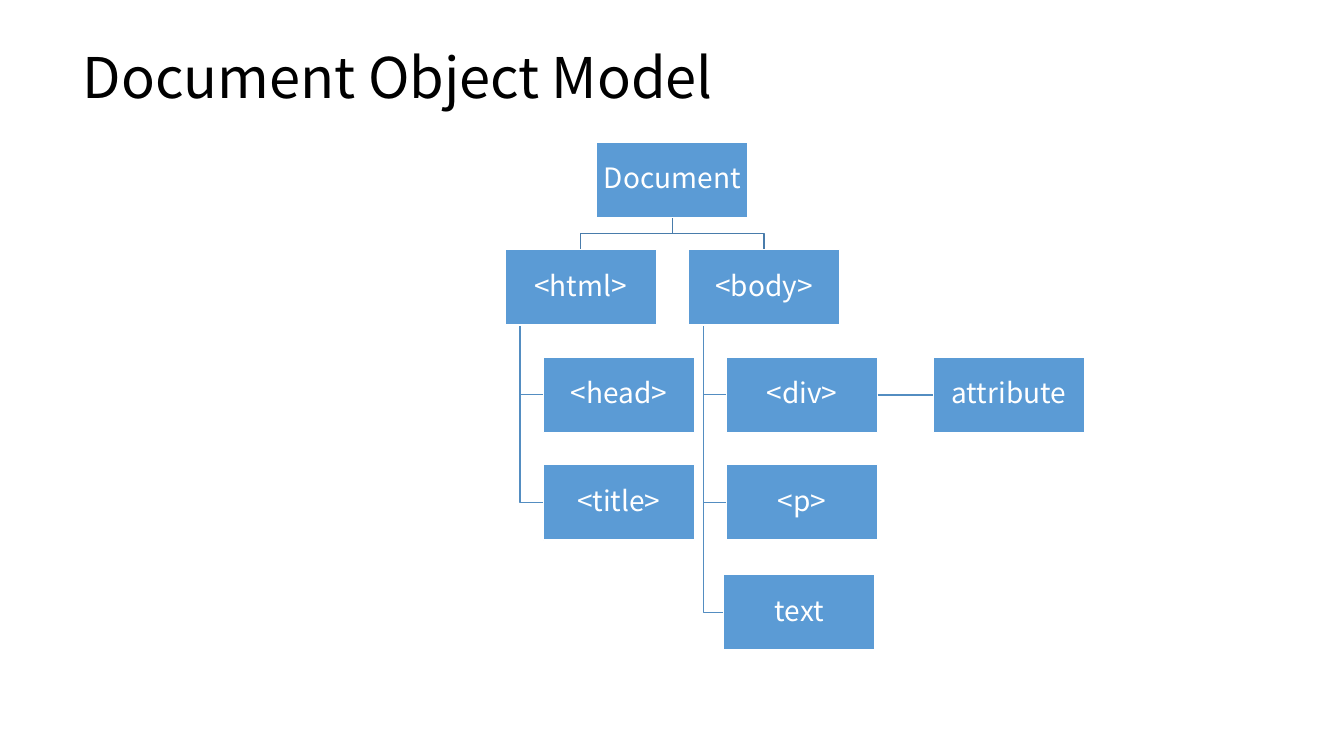
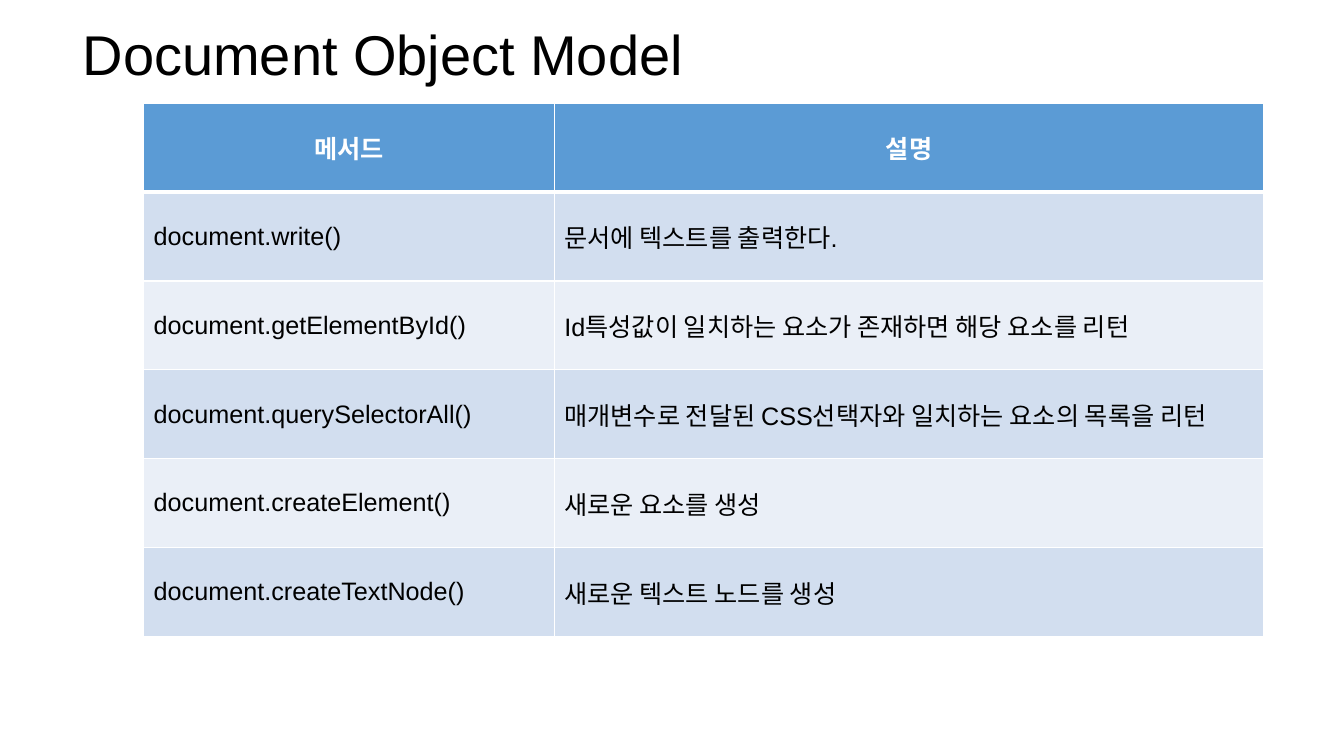
import pptx
import pptx.util
import pptx.dml.color
import pptx.enum.shapes
import pptx.enum.text
import pptx.oxml.ns
import lxml.etree

Cm, Pt = pptx.util.Cm, pptx.util.Pt
ALIGN = pptx.enum.text.PP_ALIGN
ANCHOR = pptx.enum.text.MSO_ANCHOR
qn = pptx.oxml.ns.qn

# Shared style
LATIN, KOREAN = "Arial", "Noto Sans CJK KR"
BLUE, WHITE, BLACK = "5B9BD5", "FFFFFF", "000000"
ROOT_LINE, BRANCH_LINE = "497CAB", "538DC1"
BANDS = ("D2DEEF", "EAEFF7")

# Tree: box size, and the left and top of each box within the tree (cm)
BOX_W, BOX_H = 3.81, 1.9
ROW = 2.71
INDENT, STEM = 0.96, 0.38
BODY = 4.62
BOXES = {
    "Document": (BODY / 2, 0),
    "<html>": (0, ROW),
    "<head>": (INDENT, 2 * ROW),
    "<title>": (INDENT, 3 * ROW),
    "<body>": (BODY, ROW),
    "<div>": (BODY + INDENT, 2 * ROW),
    "<p>": (BODY + INDENT, 3 * ROW),
    "attribute": (10.79, 2 * ROW),
    "text": (5.51, 10.9),
}
BRANCHES = {"<html>": ("<head>", "<title>"), "<body>": ("<div>", "<p>", "text")}

METHODS = [
    ("메서드", "설명"),
    ("document.write()", "문서에 텍스트를 출력한다."),
    ("document.getElementById()", "Id특성값이 일치하는 요소가 존재하면 해당 요소를 리턴"),
    ("document.querySelectorAll()", "매개변수로 전달된 CSS선택자와 일치하는 요소의 목록을 리턴"),
    ("document.createElement()", "새로운 요소를 생성"),
    ("document.createTextNode()", "새로운 텍스트 노드를 생성"),
]


def rgb(value):
    return pptx.dml.color.RGBColor.from_string(value)


def write(tf, text, size=18, color=BLACK, font=LATIN, bold=False,
          align=ALIGN.LEFT, spacing=1.0):
    p = tf.paragraphs[0]
    p.alignment = align
    p.line_spacing = spacing
    r = p.add_run()
    r.text = text
    r.font.name = font
    r.font.size = Pt(size)
    r.font.bold = bold
    r.font.color.rgb = rgb(color)
    # East Asian characters take their own typeface
    ea = lxml.etree.SubElement(r.font._element, qn("a:ea"))
    ea.set("typeface", KOREAN)


def add_slide(prs, title, top, font):
    slide = prs.slides.add_slide(prs.slide_layouts[5])
    sp = slide.shapes.title
    sp.left, sp.top, sp.width, sp.height = Cm(1.83), Cm(top), Cm(22.9), Cm(1.96)
    tf = sp.text_frame
    tf.auto_size = pptx.enum.text.MSO_AUTO_SIZE.NONE
    tf.vertical_anchor = ANCHOR.TOP
    write(tf, title, size=40, font=font)
    return slide


def style_line(line, color):
    line.color.rgb = rgb(color)
    line.width = Pt(1)


def add_path(slide, points, color):
    points = [(Cm(x), Cm(y)) for x, y in points]
    builder = slide.shapes.build_freeform(*points[0])
    builder.add_line_segments(points[1:], close=False)
    sp = builder.convert_to_shape()
    sp.shadow.inherit = False
    sp.fill.background()
    style_line(sp.line, color)


def add_box(slide, text, left, top):
    sp = slide.shapes.add_shape(pptx.enum.shapes.MSO_SHAPE.RECTANGLE,
                                Cm(left), Cm(top), Cm(BOX_W), Cm(BOX_H))
    sp.shadow.inherit = False
    sp.fill.solid()
    sp.fill.fore_color.rgb = rgb(BLUE)
    style_line(sp.line, WHITE)
    tf = sp.text_frame
    tf.margin_left = tf.margin_right = tf.margin_top = tf.margin_bottom = Cm(0.03)
    tf.vertical_anchor = ANCHOR.MIDDLE
    tf.word_wrap = True
    write(tf, text, size=20, color=WHITE, font=KOREAN, align=ALIGN.CENTER, spacing=0.9)
    return sp


def add_tree(slide, left, top):
    at = {name: (left + x, top + y) for name, (x, y) in BOXES.items()}

    # Lines from each parent to its children
    root_x, root_y = at["Document"]
    root_x += BOX_W / 2
    root_y += BOX_H
    for parent, children in BRANCHES.items():
        x, y = at[parent]
        middle, bend = x + BOX_W / 2, (root_y + y) / 2
        add_path(slide, [(root_x, root_y), (root_x, bend), (middle, bend), (middle, y)],
                 ROOT_LINE)
        for child in children:
            child_x, child_y = at[child]
            child_y += BOX_H / 2
            add_path(slide, [(x + STEM, y + BOX_H), (x + STEM, child_y), (child_x, child_y)],
                     BRANCH_LINE)

    # Boxes
    boxes = {name: add_box(slide, name, *place) for name, place in at.items()}

    # Link from the element to its attribute
    link = slide.shapes.add_connector(pptx.enum.shapes.MSO_CONNECTOR.STRAIGHT, 0, 0, 0, 0)
    link.begin_connect(boxes["<div>"], 3)
    link.end_connect(boxes["attribute"], 1)
    style_line(link.line, BRANCH_LINE)
    lxml.etree.SubElement(link._element.spPr, qn("a:effectLst"))


def add_border(cell, side, width):
    ln = lxml.etree.SubElement(cell._tc.get_or_add_tcPr(), qn("a:ln" + side))
    ln.set("w", str(Pt(width)))
    fill = lxml.etree.SubElement(ln, qn("a:solidFill"))
    lxml.etree.SubElement(fill, qn("a:srgbClr")).set("val", WHITE)


def add_method_table(slide, rows, left, top, widths, row_height):
    frame = slide.shapes.add_table(len(rows), len(widths), Cm(left), Cm(top),
                                   Cm(sum(widths)), Cm(row_height * len(rows)))
    table = frame.table
    for column, width in zip(table.columns, widths):
        column.width = Cm(width)
    for i, row in enumerate(rows):
        table.rows[i].height = Cm(row_height)
        header = i == 0
        for j, text in enumerate(row):
            cell = table.cell(i, j)
            cell.vertical_anchor = ANCHOR.MIDDLE
            for side in "LRTB":
                heavy = (header and side == "B") or (i == 1 and side == "T")
                add_border(cell, side, 3 if heavy else 1)
            cell.fill.solid()
            cell.fill.fore_color.rgb = rgb(BLUE if header else BANDS[(i - 1) % 2])
            if header:
                write(cell.text_frame, text, color=WHITE, font=KOREAN, bold=True,
                      align=ALIGN.CENTER)
            else:
                write(cell.text_frame, text)


def main():
    prs = pptx.Presentation()
    prs.slide_width, prs.slide_height = Cm(33.87), Cm(19.05)
    title = "Document Object Model"

    slide = add_slide(prs, title, top=0.94, font=KOREAN)
    add_tree(slide, left=12.73, top=3.58)

    slide = add_slide(prs, title, top=0.36, font=LATIN)
    add_method_table(slide, METHODS, left=3.62, top=2.6, widths=(10.35, 17.88),
                     row_height=2.24)

    prs.save("out.pptx")


if __name__ == "__main__":
    main()
